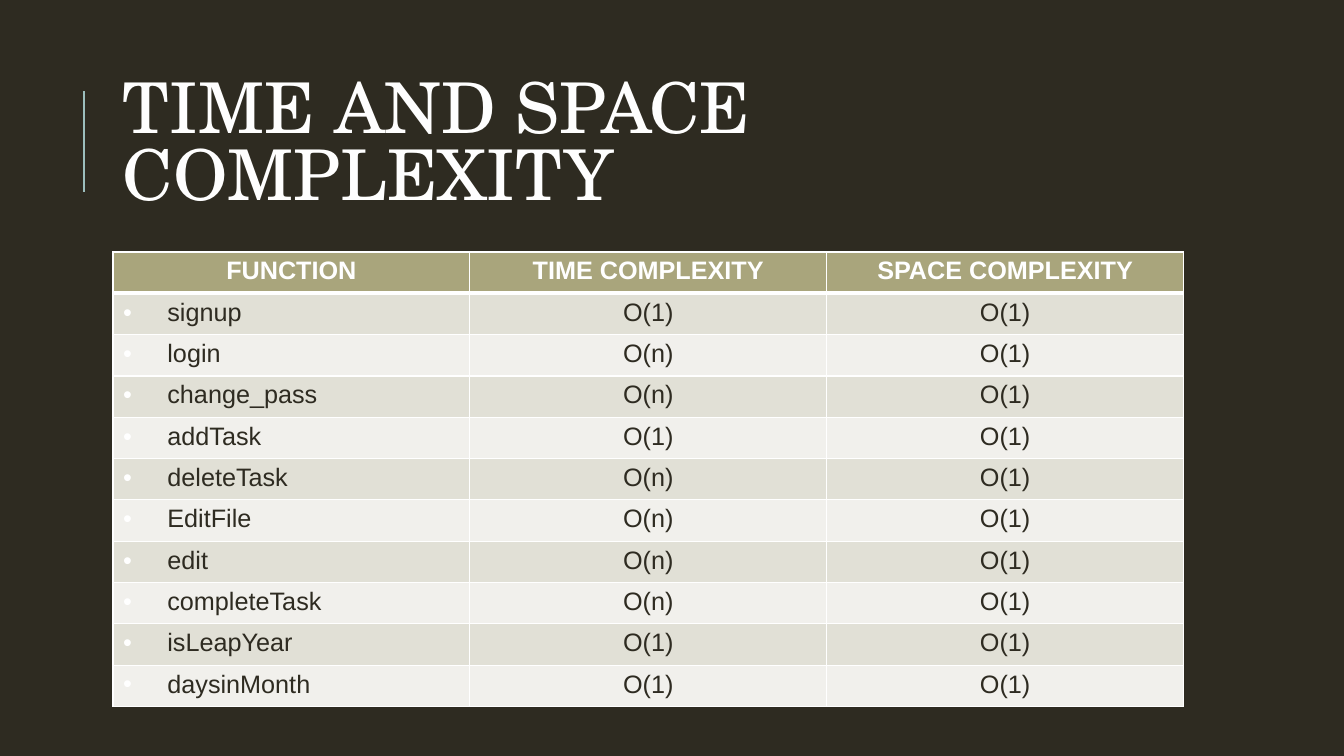
from lxml.etree import SubElement
from pptx import Presentation
from pptx.dml.color import RGBColor
from pptx.enum.shapes import MSO_CONNECTOR
from pptx.enum.text import MSO_ANCHOR, PP_ALIGN
from pptx.oxml.ns import qn
from pptx.util import Inches, Pt

COLORS = {
    "background": "2E2B21",
    "accent": "9CBEBD",
    "title": "FEFEFE",
    "white": "FFFFFF",
    "header": "A9A57C",
    "odd_row": "E1E0D6",
    "even_row": "F1F0EC",
}
FONTS = {
    "title": {"name": "TeX Gyre Schola", "size": Pt(50), "bold": False},
    "header": {"name": "Arial", "size": Pt(18), "bold": True},
    "body": {"name": "Arial", "size": Pt(18), "bold": False},
}
HEADINGS = ("FUNCTION", "TIME COMPLEXITY", "SPACE COMPLEXITY")
TIME_COMPLEXITIES = {
    "signup": "O(1)",
    "login": "O(n)",
    "change_pass": "O(n)",
    "addTask": "O(1)",
    "deleteTask": "O(n)",
    "EditFile": "O(n)",
    "edit": "O(n)",
    "completeTask": "O(n)",
    "isLeapYear": "O(1)",
    "daysinMonth": "O(1)",
}


class SlideBuilder:
    """Holds the style and the current slide, and adds elements to it."""

    def __init__(self, slide):
        self.slide = slide
        self.paint(slide.background.fill, "background")

    def paint(self, fill, color):
        fill.solid()
        fill.fore_color.rgb = RGBColor.from_string(COLORS[color])

    def add_text(self, paragraph, text, style, color, **layout):
        run = paragraph.add_run()
        run.text = text
        run.font.color.rgb = RGBColor.from_string(COLORS[color])
        for target, values in ((run.font, FONTS[style]), (paragraph, layout)):
            for attribute, value in values.items():
                setattr(target, attribute, value)

    def line(self, x, top, bottom, color, width):
        connector = self.slide.shapes.add_connector(
            MSO_CONNECTOR.STRAIGHT, Inches(x), Inches(bottom), Inches(x), Inches(top))
        connector.line.width = Pt(width)
        connector.line.color.rgb = RGBColor.from_string(COLORS[color])
        SubElement(connector.element.spPr, qn("a:effectLst"))

    def title(self, text, left, top, width, height):
        shape = self.slide.shapes.add_textbox(
            Inches(left), Inches(top), Inches(width), Inches(height))
        frame = shape.text_frame
        frame.word_wrap = True
        frame.vertical_anchor = MSO_ANCHOR.MIDDLE
        self.add_text(frame.paragraphs[0], text, "title", "title", line_spacing=0.8)

    def borders(self, cell, top, bottom):
        properties = cell._tc.get_or_add_tcPr()
        for side, width in {"L": 1, "R": 1, "T": top, "B": bottom}.items():
            border = SubElement(properties, qn(f"a:ln{side}"), w=str(Pt(width)))
            fill = SubElement(border, qn("a:solidFill"))
            SubElement(fill, qn("a:srgbClr"), val=COLORS["white"])

    def bullet(self, paragraph, indent):
        properties = paragraph._p.get_or_add_pPr()
        properties.set("marL", str(Inches(indent)))
        properties.set("indent", str(-Inches(indent)))
        color = SubElement(properties, qn("a:buClr"))
        SubElement(color, qn("a:srgbClr"), val=COLORS["white"])
        SubElement(properties, qn("a:buFont"), typeface="Arial")
        SubElement(properties, qn("a:buChar"), char="•")

    def table(self, rows, left, top, column_width, row_height):
        count = len(rows[0])
        table = self.slide.shapes.add_table(
            len(rows), count, Inches(left), Inches(top),
            Inches(column_width * count), Inches(row_height * len(rows))).table
        for column in table.columns:
            column.width = Inches(column_width)
        for row_index, row in enumerate(rows):
            table.rows[row_index].height = Inches(row_height)
            is_header = row_index == 0
            fill = "header" if is_header else ("even_row", "odd_row")[row_index % 2]
            style, color = ("header", "white") if is_header else ("body", "background")
            for column_index, text in enumerate(row):
                cell = table.cell(row_index, column_index)
                self.borders(cell, 3 if row_index == 1 else 1, 3 if is_header else 1)
                self.paint(cell.fill, fill)
                paragraph = cell.text_frame.paragraphs[0]
                is_name = column_index == 0 and not is_header
                alignment = PP_ALIGN.LEFT if is_name else PP_ALIGN.CENTER
                self.add_text(paragraph, text, style, color, alignment=alignment)
                if is_name:
                    self.bullet(paragraph, 0.44)


def main():
    presentation = Presentation()
    presentation.slide_width = Inches(13.33)
    presentation.slide_height = Inches(7.5)
    builder = SlideBuilder(presentation.slides.add_slide(presentation.slide_layouts[6]))
    builder.line(0.83, 0.9, 1.9, "accent", 1.5)
    builder.title("TIME AND SPACE COMPLEXITY", 1.12, 0.64, 10.63, 1.64)
    rows = [HEADINGS] + [(name, time, "O(1)") for name, time in TIME_COMPLEXITIES.items()]
    builder.table(rows, 1.12, 2.5, 3.54, 0.41)
    presentation.save("out.pptx")


if __name__ == "__main__":
    main()
